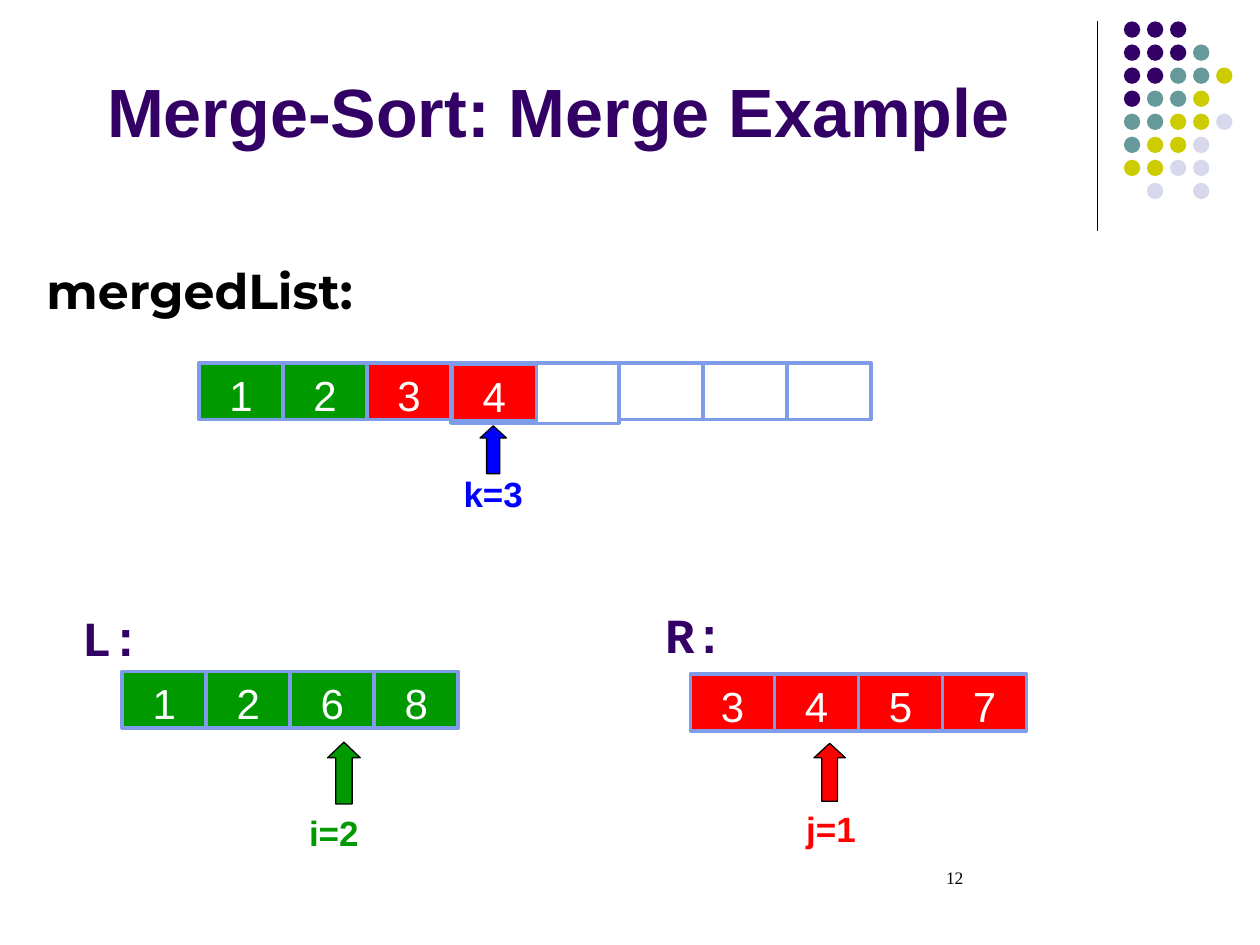
"""Build the merge step slide of a merge-sort lesson."""
from lxml.etree import SubElement
from pptx import Presentation
from pptx.dml.color import RGBColor
from pptx.enum.shapes import MSO_CONNECTOR, MSO_SHAPE
from pptx.enum.text import MSO_ANCHOR, MSO_AUTO_SIZE, PP_ALIGN
from pptx.oxml.ns import qn
from pptx.util import Inches, Pt

HUES = {
    "plum": "330066", "teal": "669999", "lime": "CCCC00", "mist": "D8D8EC",
    "green": "009900", "red": "FF0000", "blue": "0000FF", "gray": "4D4D4D",
    "edge": "7E9CE8", "white": "FFFFFF", "black": "000000",
}
hue = {name: RGBColor.from_string(code) for name, code in HUES.items()}

deck = Presentation()
deck.slide_width, deck.slide_height = Inches(10), Inches(7.5)
slide = deck.slides.add_slide(deck.slide_layouts[5])
shapes = slide.shapes
unit = deck.slide_width / 100


def draw(kind, spot, fill, line=None, width=0.75):
    shape = shapes.add_shape(kind, *[round(n * unit) for n in spot])
    shape.shadow.inherit = False
    shape.fill.solid()
    shape.fill.fore_color.rgb = hue[fill]
    if line:
        shape.line.color.rgb = hue[line]
        shape.line.width = Pt(width)
    else:
        shape.line.fill.background()
    return shape


def write(shape, text, size, color, font="Arial", bold=True,
          align=PP_ALIGN.LEFT, side=1, foot=0.5, anchor=MSO_ANCHOR.TOP):
    frame = shape.text_frame
    frame.word_wrap = True
    frame.auto_size = MSO_AUTO_SIZE.NONE
    frame.vertical_anchor = anchor
    frame.margin_left = frame.margin_right = round(side * unit)
    frame.margin_top, frame.margin_bottom = round(0.5 * unit), round(foot * unit)
    para = frame.paragraphs[0]
    para.alignment = align
    run = para.add_run()
    run.text = text
    run.font.name, run.font.size, run.font.bold = font, Pt(size), bold
    run.font.color.rgb = hue[color]


rule = shapes.add_connector(
    MSO_CONNECTOR.STRAIGHT, *[round(n * unit) for n in (87.1, 1.7, 87.1, 18.3)])
rule.line.color.rgb = hue["black"]
rule.line.width = Pt(0.75)
SubElement(rule._element.spPr, qn("a:effectLst"))

dots = ["ppp", "pppt", "ppttl", "pttl", "ttllm", "tllm", "llmm", " m m"]
tones = {"p": "plum", "t": "teal", "l": "lime", "m": "mist"}
for row, line in enumerate(dots):
    for col, key in enumerate(line):
        if key in tones:
            draw(MSO_SHAPE.OVAL, (89.2 + col * 1.83, 1.7 + row * 1.83, 1.3, 1.3),
                 tones[key])

title = shapes.title
title.left, title.top, title.width, title.height = [
    round(n * unit) for n in (7.5, 0, 85, 12.5)]
write(title, "Merge-Sort: Merge Example", 39, "plum", anchor=MSO_ANCHOR.BOTTOM)

cell = 100 / 15
rows = [
    (15.8, 28.8, 4.5, [("1", "green"), ("2", "green"), ("3", "red")]),
    (15.8 + 3 * cell, 28.8, 4.8, [("", "gray"), ("", "white")]),
    (15.8 + 5 * cell, 28.8, 4.5, [("", "white")] * 3),
    (9.7, 53.3, 4.5, [(n, "green") for n in "1268"]),
    (54.8, 53.5, 4.5, [(n, "red") for n in "3457"]),
    (35.9, 28.9, 4.5, [("4", "red")]),
]
for left, top, high, items in rows:
    for col, (text, fill) in enumerate(items):
        box = draw(MSO_SHAPE.RECTANGLE, (left + col * cell, top, cell, high),
                   fill, "edge", 2)
        if text:
            write(box, text, 24, "white", bold=False, align=PP_ALIGN.CENTER, foot=0)

arrows = [
    ((26, 58.9, 2.6, 4.9), "green", 0.48),
    ((64.6, 59, 2.5, 4.6), "red", 0.46),
    ((38.1, 33.8, 2.1, 3.8), "blue", 0.46),
]
for spot, fill, head in arrows:
    arrow = draw(MSO_SHAPE.UP_ARROW, spot, fill, "black")
    arrow.adjustments[1] = head

mid, left = PP_ALIGN.CENTER, PP_ALIGN.LEFT
labels = [
    ("mergedList:", (2.7, 20.2, 30.6, 5.7), 28, "black", "Montserrat", True, left, 1),
    ("L:", (6.5, 47.7, 5, 5.7), 28, "plum", "Courier New", True, left, 0),
    ("R:", (52.8, 47.5, 5, 5.7), 28, "plum", "Courier New", True, left, 0),
    ("i=2", (24.1, 63.9, 4.8, 4.4), 20, "green", "Arial", True, mid, 0),
    ("j=1", (62.2, 63.6, 7.5, 4.4), 20, "red", "Arial", True, mid, 1),
    ("k=3", (35.1, 37, 8.1, 4.4), 20, "blue", "Arial", True, mid, 1),
    ("12", (74.1, 68.3, 20.9, 5), 10, "black", "Times New Roman", False, left, 1),
]
for text, spot, *style in labels:
    write(shapes.add_textbox(*[round(n * unit) for n in spot]), text, *style)

deck.save("out.pptx")
